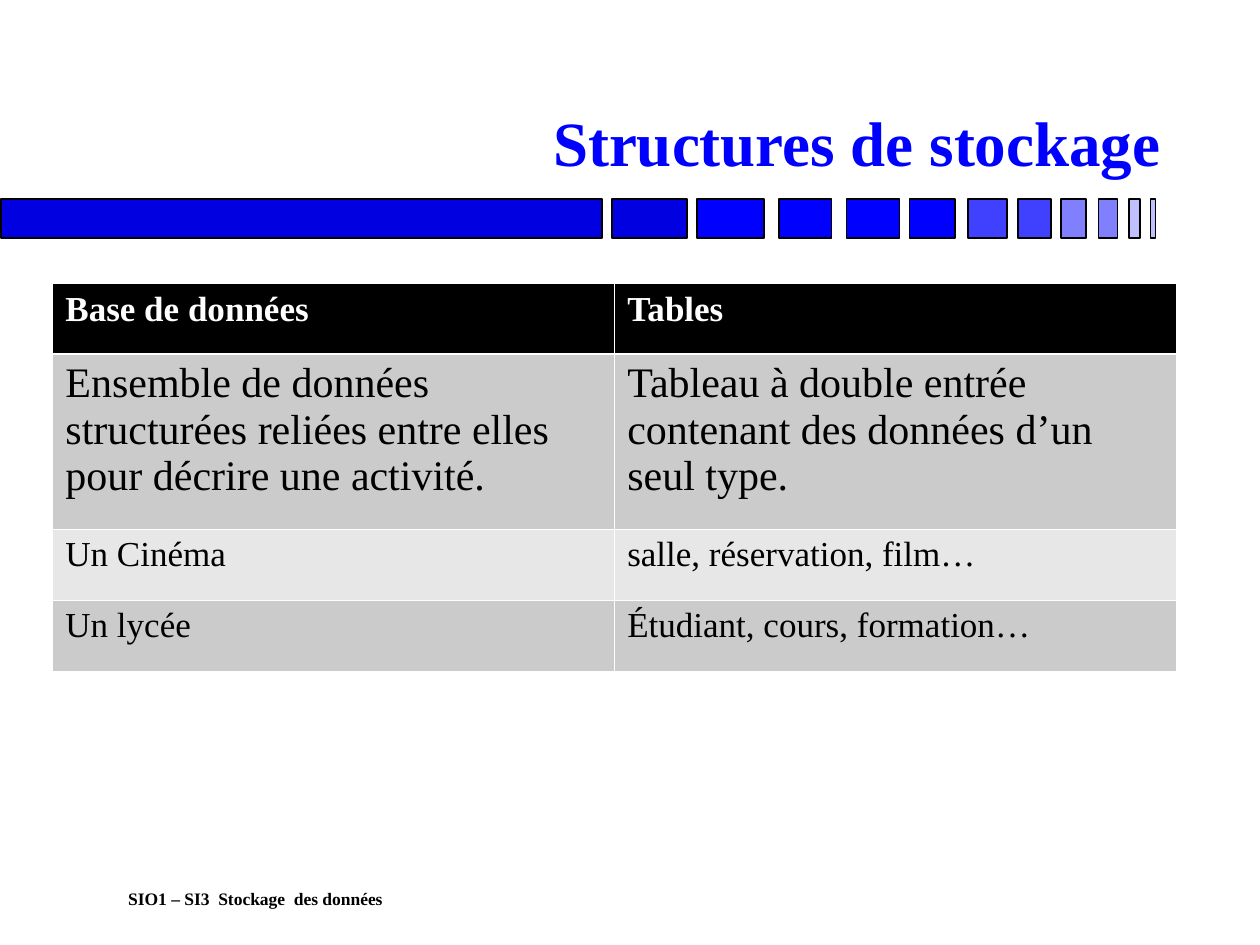
from typing import NamedTuple

from lxml.etree import SubElement
from pptx import Presentation
from pptx.dml.color import RGBColor
from pptx.enum.shapes import MSO_SHAPE
from pptx.enum.text import MSO_ANCHOR, PP_ALIGN
from pptx.oxml.ns import qn
from pptx.util import Pt

FONT = "Times New Roman"
COLORS = {
    "black": "000000", "white": "FFFFFF", "blue": "0000FF", "navy": "0000E0",
    "mid": "4040FF", "soft": "8080FF", "pale": "C0C0FF",
    "dark": "CBCBCB", "light": "E7E7E7",
}


class Bar(NamedTuple):
    left: float
    width: float
    color: str


class Row(NamedTuple):
    height: float
    fill: str
    color: str
    size: int
    bold: bool
    texts: tuple


class Label(NamedTuple):
    box: tuple
    text: str
    size: int
    color: str
    para: dict
    anchor: MSO_ANCHOR


BARS = [
    Bar(0.7, 343.4, "navy"), Bar(349.9, 42.5, "navy"), Bar(398.2, 38.2, "blue"),
    Bar(445, 30.2, "blue"), Bar(483.8, 30.2, "blue"), Bar(519.8, 25.9, "blue"),
    Bar(553, 22.3, "mid"), Bar(581.8, 18.7, "mid"), Bar(606.2, 14.4, "soft"),
    Bar(627.8, 10.8, "soft"), Bar(645.1, 6.5, "pale"), Bar(657.4, 2.9, "pale"),
]
ROWS = [
    Row(40.3, "black", "white", 20, True, ("Base de données", "Tables")),
    Row(100, "dark", "black", 24, False, (
        "Ensemble de données structurées reliées entre elles pour décrire une activité.",
        "Tableau à double entrée contenant des données d’un seul type.")),
    Row(40.7, "light", "black", 20, False, ("Un Cinéma", "salle, réservation, film…")),
    Row(40.7, "dark", "black", 20, False, ("Un lycée", "Étudiant, cours, formation…")),
]
LABELS = [
    Label((66.2, 504, 588.2, 18.7), "SIO1 – SI3  Stockage  des données", 10, "black",
          {"alignment": PP_ALIGN.LEFT}, MSO_ANCHOR.TOP),
    Label((106.6, 16.6, 563.8, 90), "Structures de stockage", 36, "blue",
          {"alignment": PP_ALIGN.RIGHT, "line_spacing": 0.9}, MSO_ANCHOR.BOTTOM),
]


def rgb(name: str) -> RGBColor:
    return RGBColor.from_string(COLORS[name])


def write(frame, text: str, size: int, color: str, bold: bool) -> None:
    frame.word_wrap = True
    run = frame.paragraphs[0].add_run()
    run.text = text
    for key, value in {"name": FONT, "size": Pt(size), "bold": bold}.items():
        setattr(run.font, key, value)
    run.font.color.rgb = rgb(color)


def draw_bar(slide, bar: Bar) -> None:
    shape = slide.shapes.add_shape(
        MSO_SHAPE.RECTANGLE, Pt(bar.left), Pt(113.8), Pt(bar.width), Pt(22.3))
    shape.shadow.inherit = False
    shape.fill.solid()
    shape.fill.fore_color.rgb = rgb(bar.color)
    shape.line.color.rgb = rgb("black")
    shape.line.width = Pt(1)


def draw_label(slide, label: Label) -> None:
    frame = slide.shapes.add_textbox(*map(Pt, label.box)).text_frame
    frame.vertical_anchor = label.anchor
    write(frame, label.text, label.size, label.color, True)
    for key, value in label.para.items():
        setattr(frame.paragraphs[0], key, value)


def add_edges(cell, widths: dict) -> None:
    props = cell._tc.get_or_add_tcPr()
    for side, width in widths.items():
        line = SubElement(props, qn(f"a:ln{side}"), w=str(Pt(width)))
        fill = SubElement(line, qn("a:solidFill"))
        SubElement(fill, qn("a:srgbClr"), val=COLORS["white"])


def draw_table(slide, rows: list) -> None:
    total = sum(row.height for row in rows)
    table = slide.shapes.add_table(
        len(rows), 2, Pt(30.2), Pt(162), Pt(642.2), Pt(total)).table
    for col in table.columns:
        col.width = Pt(321.1)
    for i, row in enumerate(rows):
        table.rows[i].height = Pt(row.height)
        # The rule under the header is thicker
        edges = {"L": 0.45, "R": 0.45, "T": 1.47 if i == 1 else 0.45,
                 "B": 1.47 if i == 0 else 0.45}
        for cell, text in zip(table.rows[i].cells, row.texts):
            add_edges(cell, edges)
            cell.fill.solid()
            cell.fill.fore_color.rgb = rgb(row.fill)
            write(cell.text_frame, text, row.size, row.color, row.bold)


def main() -> None:
    deck = Presentation()
    deck.slide_width, deck.slide_height = Pt(720), Pt(540)
    slide = deck.slides.add_slide(deck.slide_layouts[6])

    # Fading band
    for bar in BARS:
        draw_bar(slide, bar)
    # Footer and title
    for label in LABELS:
        draw_label(slide, label)
    # Comparison table
    draw_table(slide, ROWS)

    deck.save("out.pptx")


if __name__ == "__main__":
    main()
